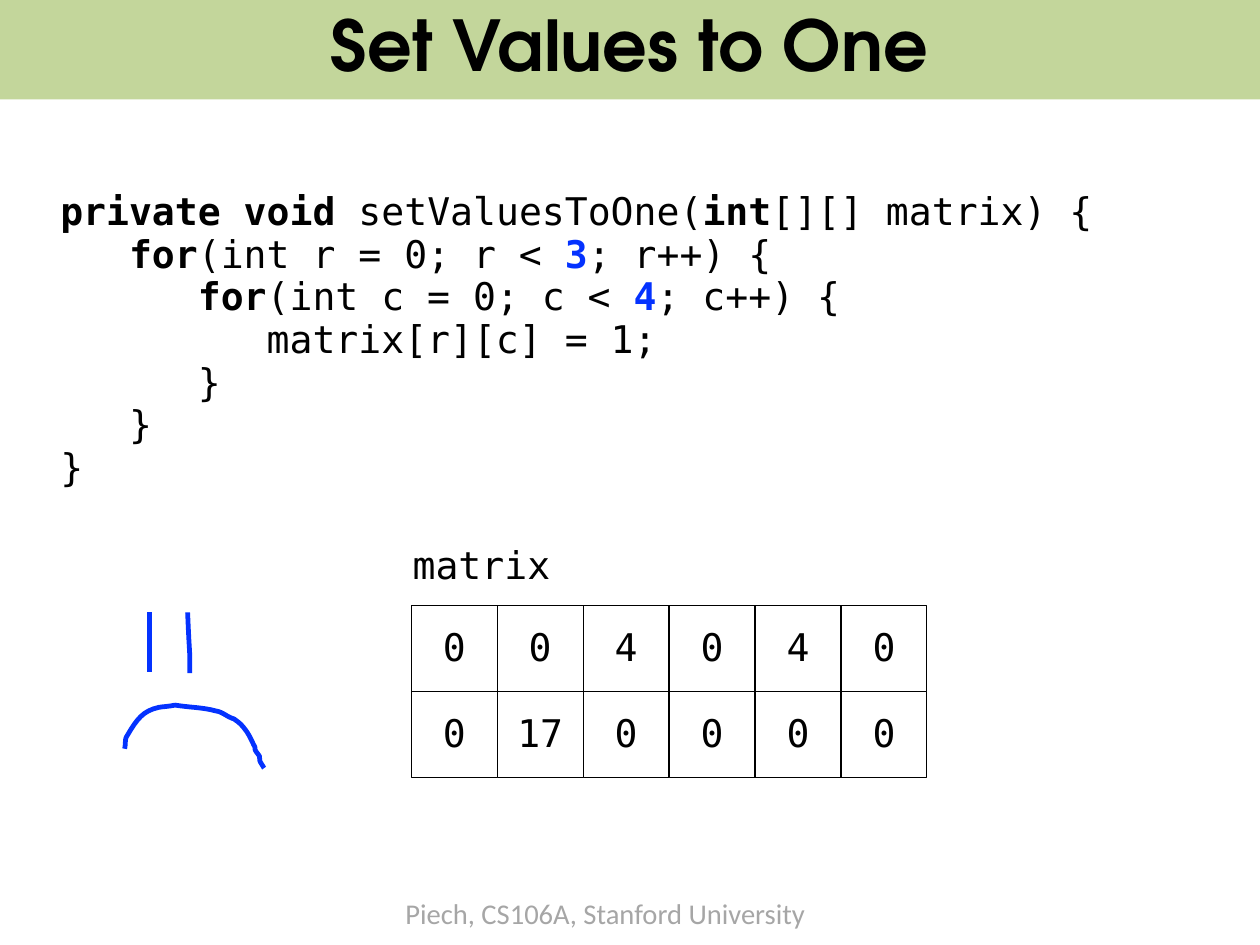
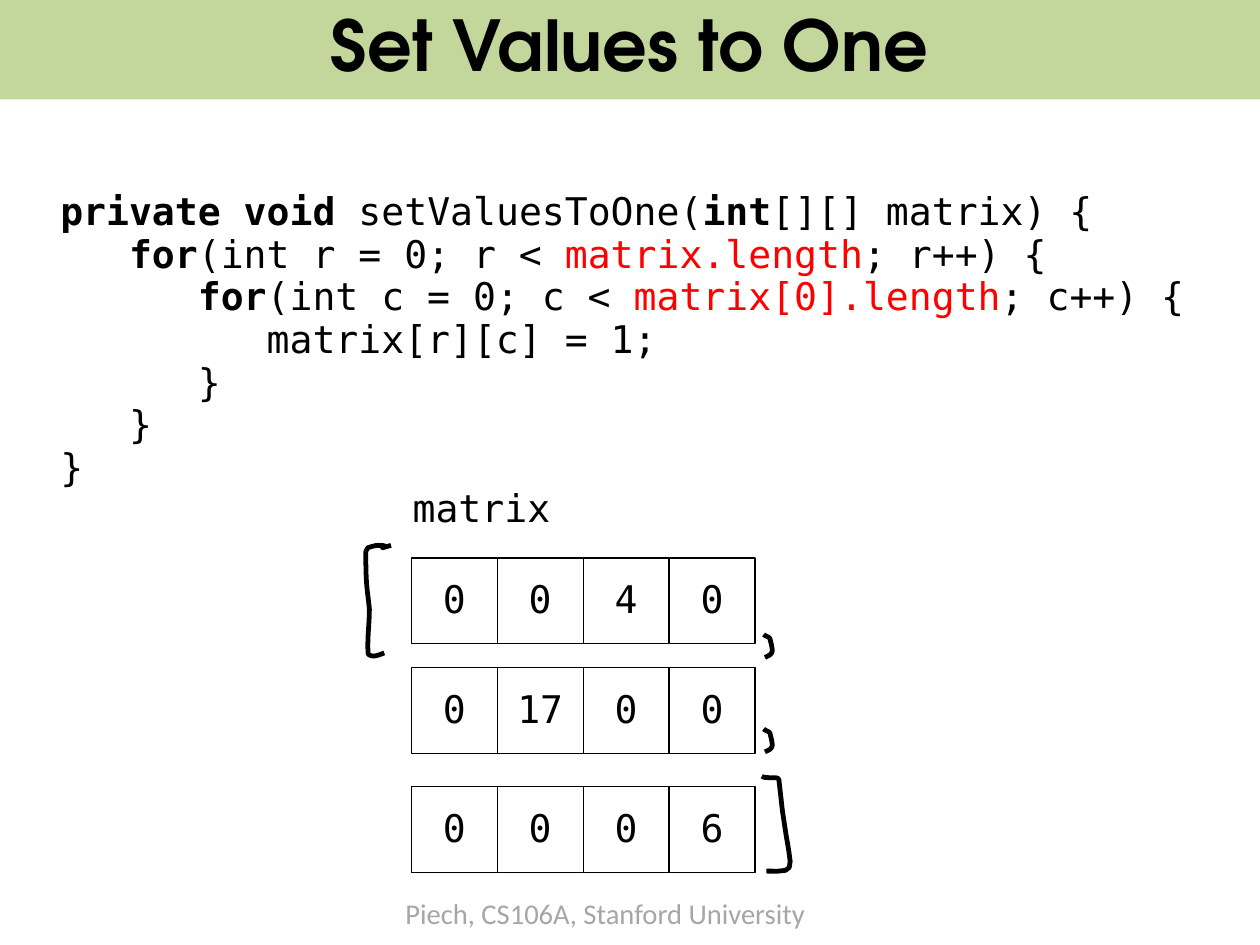
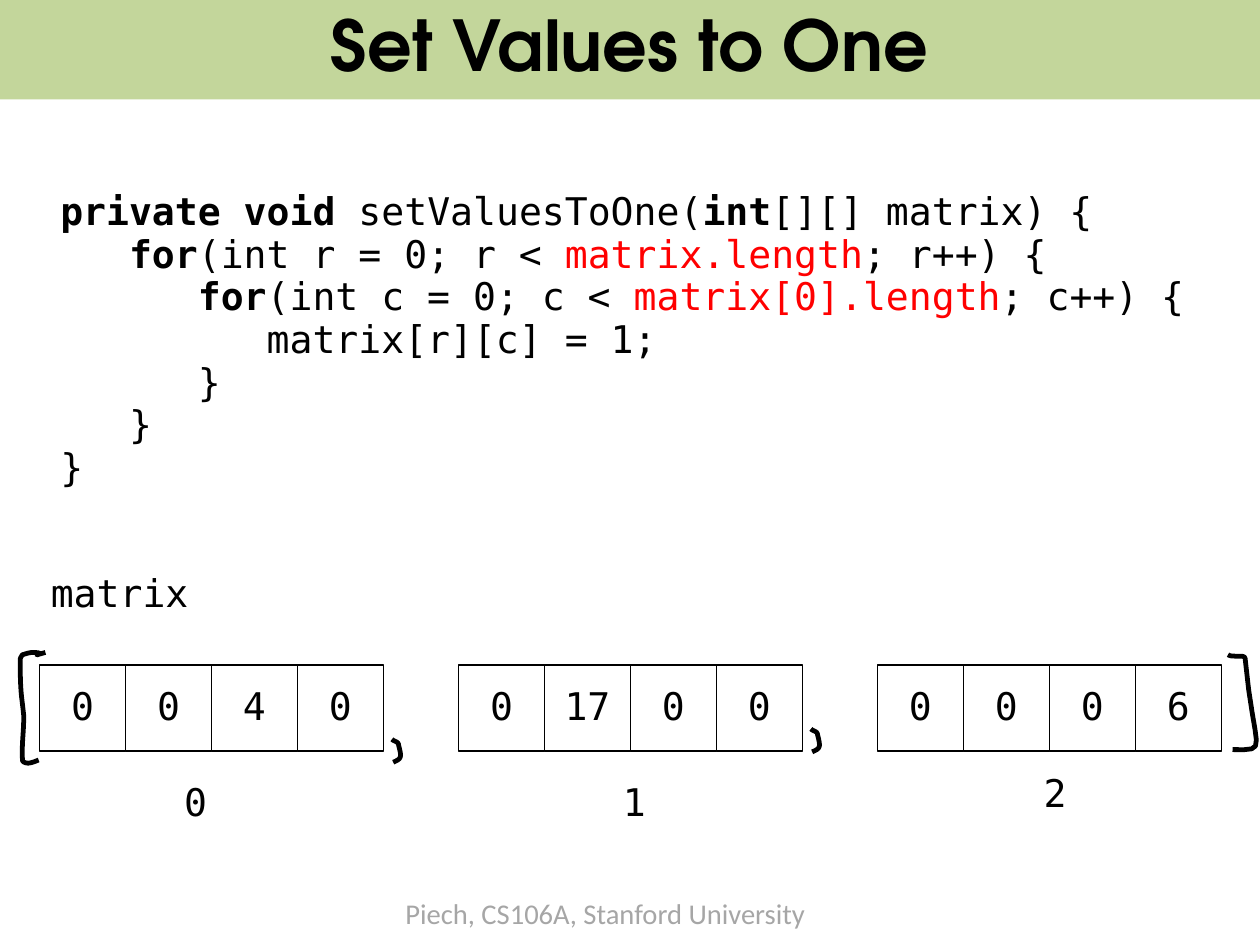
import pptx
import pptx.dml.color
import pptx.enum.shapes
import pptx.enum.text
import pptx.oxml
import pptx.oxml.ns
import pptx.util

Cm, Pt = pptx.util.Cm, pptx.util.Pt
ALIGN = pptx.enum.text.PP_ALIGN
ANCHOR = pptx.enum.text.MSO_ANCHOR
AUTO_SIZE = pptx.enum.text.MSO_AUTO_SIZE

BLACK, WHITE, GREY = "000000", "FFFFFF", "A6A6A6"
GREEN, BLUE, RED = "C3D69B", "0432FF", "FF0000"
TITLE_FONT, CODE_FONT, FOOTER_FONT = "TeX Gyre Adventor", "DejaVu Sans Mono", "Calibri"
SLIDE_W, SLIDE_H = 28, 21
CELL = 1.91
INK_WIDTH = 3
CURVE_STEPS = 8

# Run styles: (bold, colour)
PLAIN, KEYWORD = (False, BLACK), (True, BLACK)
FIXED_LIMIT, LENGTH_LIMIT = (True, BLUE), (False, RED)

# Pen strokes in cm: a start point, then cubic curves (control, control, end)
LEFT_BRACKET = ((0.56, 0), [
    (0.08, 0.13, 0.69, 0, 0.28, 0), (0.2, 0, 0.13, 0.03, 0.05, 0.05),
    (0.03, 0.08, 0, 0.13, 0, 0.15), (0, 0.94, 0.03, 0.91, 0.08, 1.42),
    (0.08, 1.75, 0.03, 2.06, 0.05, 2.39), (0.05, 2.44, 0.13, 2.46, 0.18, 2.46),
    (0.25, 2.46, 0.41, 2.39, 0.41, 2.39)])
RIGHT_BRACKET = ((0, 0), [
    (0.05, 0.03, 0.08, 0.03, 0.13, 0.03), (0.2, 0.05, 0.36, 0, 0.38, 0.08),
    (0.58, 2.21, 0.94, 2.11, 0.1, 2.11)])
COMMA = ((0, 0), [
    (0.05, 0.05, 0.15, 0.05, 0.15, 0.13), (0.23, 0.43, 0.2, 0.43, 0.03, 0.51)])
RIGHT_EYE = ((0, 0), [(0.05, 1.14, 0.05, 0.69, 0.05, 1.35)])
MOUTH = ((0, 0.97), [
    (0.03, 0.86, 0, 0.76, 0.05, 0.69), (0.28, 0.3, 0.41, 0.13, 0.76, 0.05),
    (0.89, 0.03, 0.99, 0.03, 1.12, 0), (1.42, 0.05, 1.73, 0.05, 2.03, 0.13),
    (2.16, 0.15, 2.24, 0.23, 2.36, 0.28), (2.39, 0.3, 2.44, 0.3, 2.46, 0.33),
    (2.54, 0.38, 2.62, 0.46, 2.67, 0.53), (2.74, 0.61, 2.84, 0.81, 2.87, 0.89),
    (2.9, 0.91, 2.9, 0.97, 2.9, 0.99), (2.92, 1.04, 2.97, 1.09, 3, 1.14),
    (3, 1.19, 3, 1.24, 3.02, 1.27), (3.05, 1.32, 3.1, 1.4, 3.1, 1.4)])

WIDE_MATRIX = [[0, 0, 4, 0, 4, 0], [0, 17, 0, 0, 0, 0]]
MATRIX = [[0, 0, 4, 0], [0, 17, 0, 0], [0, 0, 0, 6]]


def rgb(color):
    return pptx.dml.color.RGBColor.from_string(color)


def format_paragraph(p, size, font, color=BLACK, bold=False, align=ALIGN.LEFT):
    p.alignment = align
    p.line_spacing = 0.93
    p.font.size = Pt(size)
    p.font.name = font
    p.font.bold = bold
    p.font.color.rgb = rgb(color)


def add_text(slide, left, top, width, height):
    """Add an empty text box that keeps each paragraph on one line."""
    sp = slide.shapes.add_textbox(Cm(left), Cm(top), Cm(width), Cm(height))
    sp.text_frame.word_wrap = False
    sp.text_frame.auto_size = AUTO_SIZE.SHAPE_TO_FIT_TEXT
    return sp


def add_label(slide, text, left, top, width):
    p = add_text(slide, left, top, width, 1.22).text_frame.paragraphs[0]
    p.text = text
    format_paragraph(p, 24, CODE_FONT)


def add_matrix_label(slide, left, top):
    add_label(slide, "matrix", left, top, 3.58)


def add_layout_footer(slide):
    """Build the footer, then move it to the layout that all slides share."""
    sp = add_text(slide, 8.76, 19.86, 9.5, 0.97)
    p = sp.text_frame.paragraphs[0]
    p.text = "Piech, CS106A, Stanford University"
    format_paragraph(p, 18, FOOTER_FONT, GREY)
    slide.slide_layout.shapes.element.append(sp.element)


def add_titled_slide(prs):
    slide = prs.slides.add_slide(prs.slide_layouts[5])
    sp = slide.shapes.title
    sp.left, sp.top, sp.width, sp.height = Cm(0), Cm(-0.08), Cm(SLIDE_W), Cm(2.29)
    sp.fill.solid()
    sp.fill.fore_color.rgb = rgb(GREEN)
    tf = sp.text_frame
    tf.text = "Set Values to One"
    tf.word_wrap = True
    tf.auto_size = AUTO_SIZE.NONE
    tf.vertical_anchor = ANCHOR.MIDDLE
    tf.margin_left = tf.margin_right = Cm(0.28)
    tf.margin_top = tf.margin_bottom = Cm(0.16)
    format_paragraph(tf.paragraphs[0], 44.1, TITLE_FONT, bold=True, align=ALIGN.CENTER)
    return slide


def loop_line(indent, var, limit, limit_style):
    return [(indent, PLAIN), ("for", KEYWORD), (f"(int {var} = 0; {var} < ", PLAIN),
            (limit, limit_style), (f"; {var}++) {{", PLAIN)]


def add_code(slide, width, row_limit, column_limit, limit_style):
    lines = [
        [("private void ", KEYWORD), ("setValuesToOne(", PLAIN),
         ("int", KEYWORD), ("[][] matrix) {", PLAIN)],
        loop_line("   ", "r", row_limit, limit_style),
        loop_line("      ", "c", column_limit, limit_style),
        [("         matrix[r][c] = 1;", PLAIN)],
        [("      }", PLAIN)],
        [("   }", PLAIN)],
        [("}", PLAIN)],
    ]
    tf = add_text(slide, 1.09, 4.14, width, 6.93).text_frame
    for i, line in enumerate(lines):
        p = tf.add_paragraph() if i else tf.paragraphs[0]
        format_paragraph(p, 24, CODE_FONT)
        for text, (bold, color) in line:
            r = p.add_run()
            r.text = text
            r.font.bold = bold
            r.font.color.rgb = rgb(color)


def add_length_code(slide):
    add_code(slide, 25.6, "matrix.length", "matrix[0].length", LENGTH_LIMIT)


def add_row(slide, values, left, top):
    for i, value in enumerate(values):
        sp = slide.shapes.add_shape(
            pptx.enum.shapes.MSO_SHAPE.RECTANGLE,
            Cm(left + i * CELL), Cm(top), Cm(CELL), Cm(CELL))
        sp.shadow.inherit = False
        sp.fill.solid()
        sp.fill.fore_color.rgb = rgb(WHITE)
        sp.line.color.rgb = rgb(BLACK)
        sp.line.width = Pt(0.75)
        tf = sp.text_frame
        tf.text = str(value)
        tf.vertical_anchor = ANCHOR.MIDDLE
        format_paragraph(tf.paragraphs[0], 24, CODE_FONT, align=ALIGN.CENTER)


def curve_points(start, curve):
    """Return points along one cubic curve, without its start."""
    x0, y0 = start
    x1, y1, x2, y2, x3, y3 = curve
    points = []
    for step in range(1, CURVE_STEPS + 1):
        t = step / CURVE_STEPS
        a, b, c, d = (1 - t) ** 3, 3 * t * (1 - t) ** 2, 3 * t * t * (1 - t), t ** 3
        points.append((a * x0 + b * x1 + c * x2 + d * x3,
                       a * y0 + b * y1 + c * y2 + d * y3))
    return points


def add_stroke(slide, stroke, left, top, color=BLACK):
    start, curves = stroke
    points = [start]
    for curve in curves:
        points += curve_points(points[-1], curve)
    first, *rest = [(Cm(left + x), Cm(top + y)) for x, y in points]
    builder = slide.shapes.build_freeform(*first)
    builder.add_line_segments(rest, close=False)
    sp = builder.convert_to_shape()
    sp.shadow.inherit = False
    sp.fill.background()
    sp.line.color.rgb = rgb(color)
    sp.line.width = Pt(INK_WIDTH)


def add_sad_face(slide, left, top):
    eye_x = Cm(left + 0.56)
    eye = slide.shapes.add_connector(
        pptx.enum.shapes.MSO_CONNECTOR.STRAIGHT, eye_x, Cm(top), eye_x, Cm(top + 1.32))
    eye.line.color.rgb = rgb(BLUE)
    eye.line.width = Pt(INK_WIDTH)
    eye.element.spPr.append(pptx.oxml.parse_xml(
        f"<a:effectLst {pptx.oxml.ns.nsdecls('a')}/>"))
    add_stroke(slide, RIGHT_EYE, left + 1.4, top, BLUE)
    add_stroke(slide, MOUTH, left, top + 2.06, BLUE)


def add_bracketed_rows(slide, origins, bracket_gap, comma_drops):
    """Place the matrix rows at origins, with pen brackets and commas around them."""
    for values, (left, top) in zip(MATRIX, origins):
        add_row(slide, values, left, top)
    row_end = len(MATRIX[0]) * CELL + 0.19
    first_left, first_top = origins[0]
    last_left, last_top = origins[-1]
    add_stroke(slide, LEFT_BRACKET, first_left - bracket_gap, first_top - 0.28)
    add_stroke(slide, RIGHT_BRACKET, last_left + row_end - 0.04, last_top - 0.23)
    for (left, top), drop in zip(origins, comma_drops):
        add_stroke(slide, COMMA, left + row_end, top + drop)


def build_fixed_size_slide(prs):
    slide = add_titled_slide(prs)
    add_layout_footer(slide)
    add_code(slide, 23.55, "3", "4", FIXED_LIMIT)
    left, top = 9.14, 13.46
    add_matrix_label(slide, left - 0.22, top - 1.47)
    for i, values in enumerate(WIDE_MATRIX):
        add_row(slide, values, left, top + i * CELL)
    add_sad_face(slide, 2.77, 13.61)


def build_stacked_rows_slide(prs):
    slide = add_titled_slide(prs)
    add_length_code(slide)
    left = 9.14
    add_matrix_label(slide, left - 0.22, 10.72)
    add_bracketed_rows(slide, [(left, top) for top in (12.4, 14.83, 17.48)],
                       1.01, (1.7, 1.37))


def build_indexed_rows_slide(prs):
    slide = add_titled_slide(prs)
    add_length_code(slide)
    left, top = 0.88, 14.78
    add_matrix_label(slide, left, 12.62)
    add_bracketed_rows(slide, [(left + i * 9.31, top) for i in range(len(MATRIX))],
                       0.43, (1.65, 1.42))
    for i, (x, y) in enumerate([(3.84, 17.27), (13.59, 17.27), (22.94, 17.07)]):
        add_label(slide, str(i), x, y, 1.02)


def main():
    prs = pptx.Presentation()
    prs.slide_width, prs.slide_height = Cm(SLIDE_W), Cm(SLIDE_H)
    build_fixed_size_slide(prs)
    build_stacked_rows_slide(prs)
    build_indexed_rows_slide(prs)
    prs.save("out.pptx")


if __name__ == "__main__":
    main()
